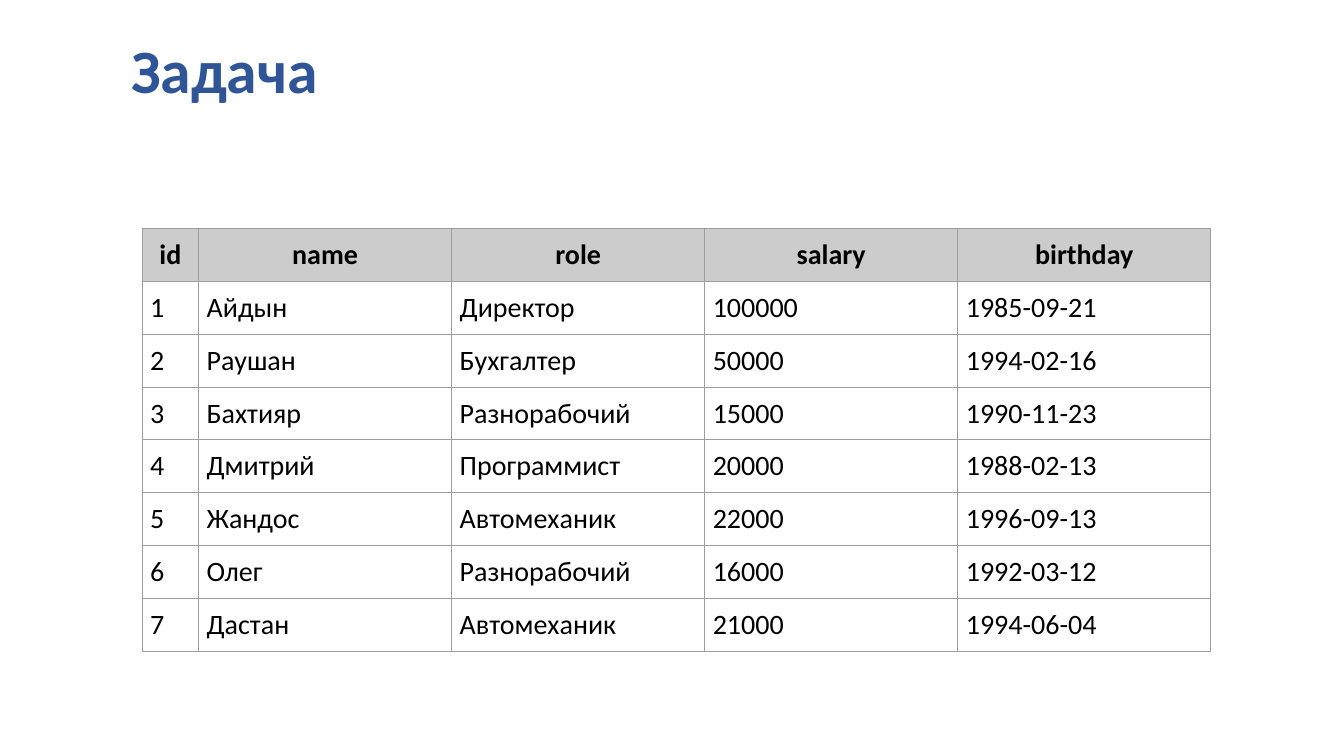
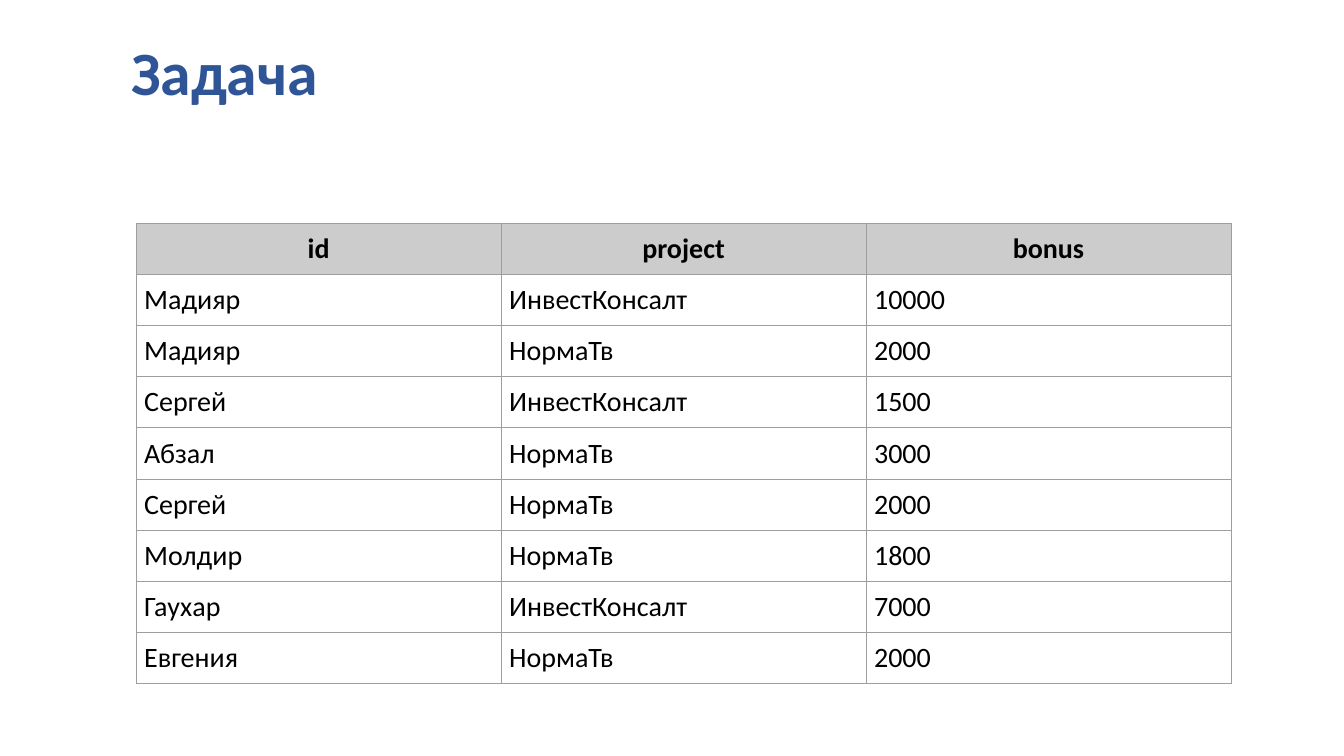
"""Build two task slides, each with a title and a data table."""
from lxml.etree import SubElement
from pptx import Presentation
from pptx.dml.color import RGBColor
from pptx.enum.text import MSO_ANCHOR as Anchor, PP_ALIGN as Align
from pptx.oxml.ns import qn
from pptx.util import Inches, Pt

TITLE_BLUE, BLACK, WHITE = "2F5597", "000000", "FFFFFF"
HEADER_GREY, GRID_GREY = "CCCCCC", "9E9E9E"
TITLE_FORMAT = {"name": "Calibri", "size": Pt(44), "bold": True}
HEADER_FORMAT = {"name": "Calibri", "size": Pt(20), "bold": True}
BODY_FORMAT = {**HEADER_FORMAT, "bold": False}
CELL_LAYOUT = {
    "vertical_anchor": Anchor.MIDDLE,
    **{f"margin_{side}": Inches(0.08) for side in ("left", "top", "right", "bottom")},
}

EMPLOYEES = [
    ("id", "name", "role", "salary", "birthday"),
    ("1", "Айдын", "Директор", "100000", "1985-09-21"),
    ("2", "Раушан", "Бухгалтер", "50000", "1994-02-16"),
    ("3", "Бахтияр", "Разнорабочий", "15000", "1990-11-23"),
    ("4", "Дмитрий", "Программист", "20000", "1988-02-13"),
    ("5", "Жандос", "Автомеханик", "22000", "1996-09-13"),
    ("6", "Олег", "Разнорабочий", "16000", "1992-03-12"),
    ("7", "Дастан", "Автомеханик", "21000", "1994-06-04"),
]
BONUSES = [
    ("id", "project", "bonus"),
    ("Мадияр", "ИнвестКонсалт", "10000"),
    ("Мадияр", "НормаТв", "2000"),
    ("Сергей", "ИнвестКонсалт", "1500"),
    ("Абзал", "НормаТв", "3000"),
    ("Сергей", "НормаТв", "2000"),
    ("Молдир", "НормаТв", "1800"),
    ("Гаухар", "ИнвестКонсалт", "7000"),
    ("Евгения", "НормаТв", "2000"),
]
TASKS = [
    (0.79, EMPLOYEES, (1.41, 2.27), 4.19, [0.56] + [2.51] * 4),
    (0.81, BONUSES, (1.35, 2.22), 4.56, [3.62] * 3),
]


def format_text(paragraph, values, color, align):
    paragraph.alignment = align
    for attribute, value in values.items():
        setattr(paragraph.font, attribute, value)
    paragraph.font.color.rgb = RGBColor.from_string(color)


def add_borders(cell):
    properties = cell._tc.get_or_add_tcPr()
    for side in ("a:lnL", "a:lnR", "a:lnT", "a:lnB"):
        border = SubElement(properties, qn(side), w=str(Pt(0.75)))
        SubElement(SubElement(border, qn("a:solidFill")), qn("a:srgbClr"), val=GRID_GREY)


deck = Presentation()
deck.slide_width, deck.slide_height = Inches(13.33), Inches(7.5)

for title_height, records, (left, top), height, widths in TASKS:
    slide = deck.slides.add_slide(deck.slide_layouts[5])
    title = slide.shapes.title
    title.left, title.top = Inches(1.2), Inches(0.31)
    title.width, title.height = Inches(11), Inches(title_height)
    title.text_frame.text = "Задача"
    title.text_frame.vertical_anchor = Anchor.BOTTOM
    heading = title.text_frame.paragraphs[0]
    heading.line_spacing = 0.85
    format_text(heading, TITLE_FORMAT, TITLE_BLUE, Align.LEFT)

    table = slide.shapes.add_table(
        len(records), len(widths), Inches(left), Inches(top),
        Inches(sum(widths)), Inches(height),
    ).table
    table.first_row = table.horz_banding = False
    for column, width in zip(table.columns, widths):
        column.width = Inches(width)

    for row, record in enumerate(records):
        if row == 0:
            fill, text_format, align = HEADER_GREY, HEADER_FORMAT, Align.CENTER
        else:
            fill, text_format, align = WHITE, BODY_FORMAT, Align.LEFT
        for column, value in enumerate(record):
            cell = table.cell(row, column)
            cell.text = value
            for attribute, setting in CELL_LAYOUT.items():
                setattr(cell, attribute, setting)
            add_borders(cell)
            cell.fill.solid()
            cell.fill.fore_color.rgb = RGBColor.from_string(fill)
            format_text(cell.text_frame.paragraphs[0], text_format, BLACK, align)

deck.save("out.pptx")
